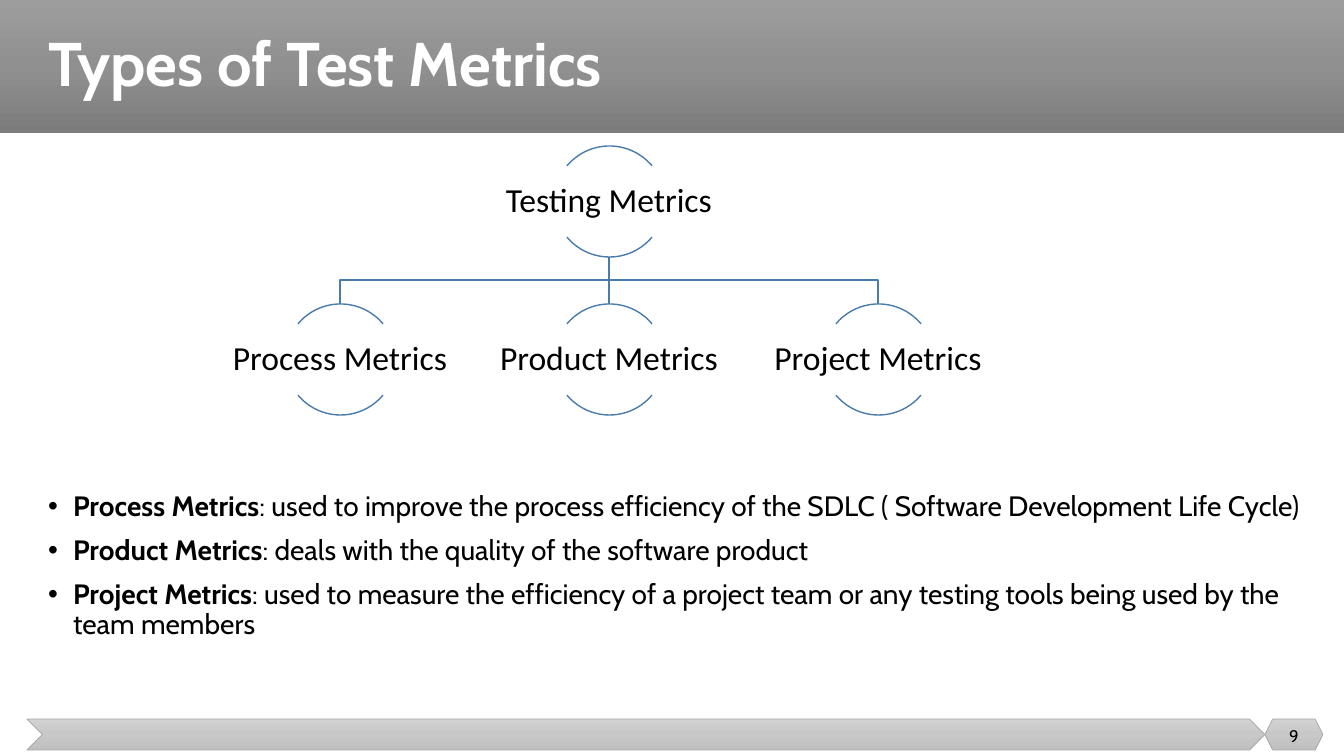
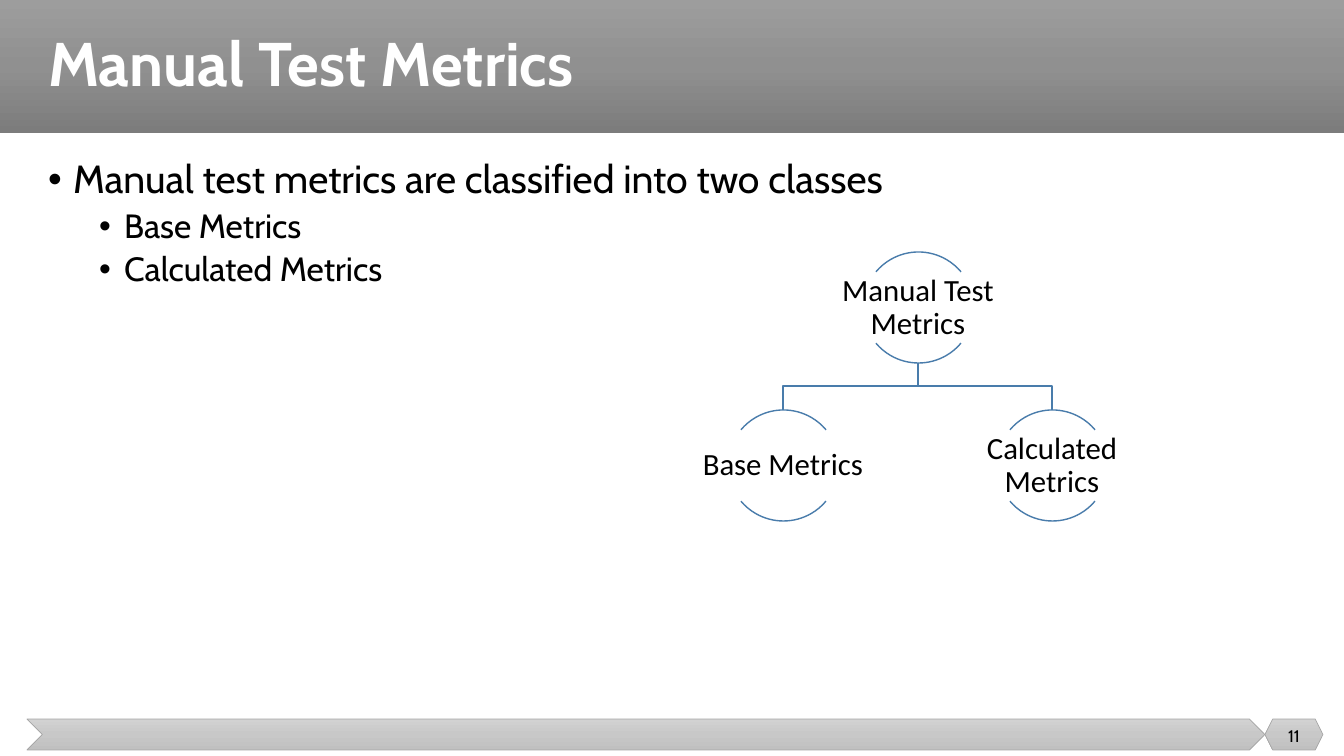
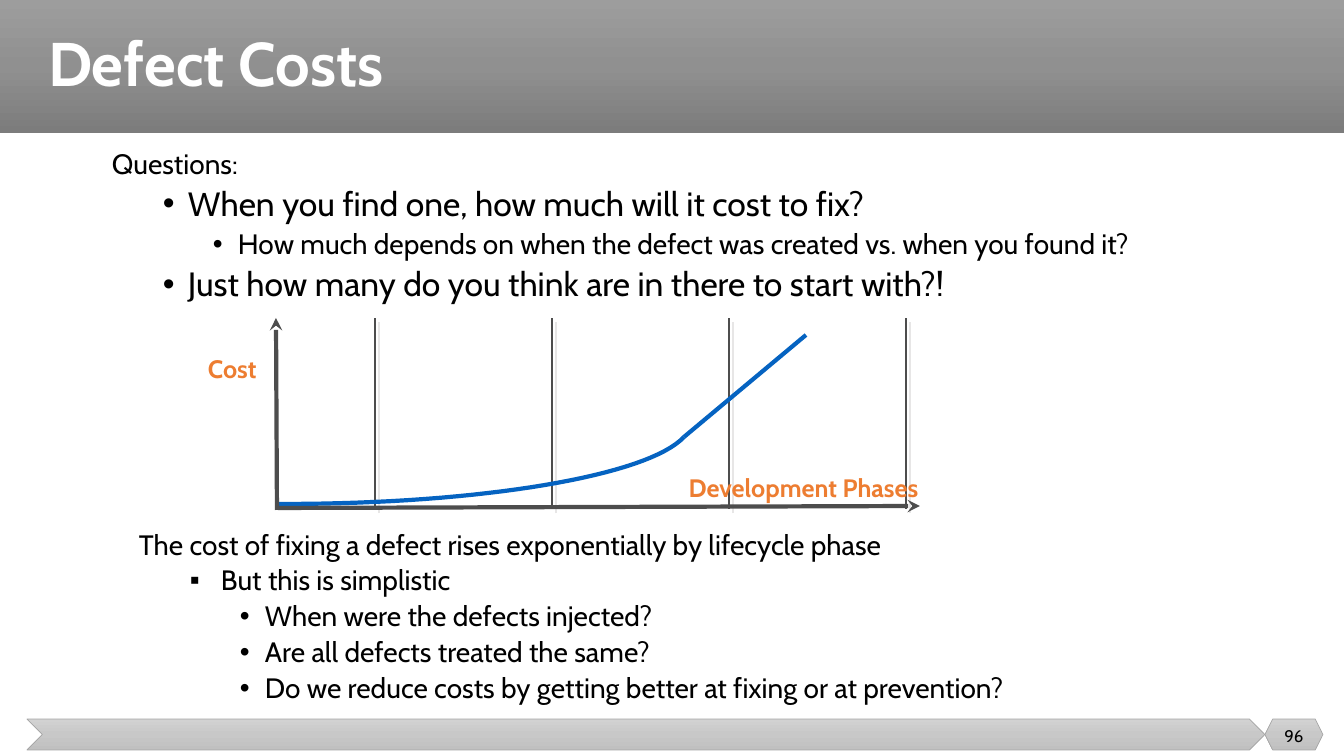
from lxml import etree
from pptx import Presentation
from pptx.dml.color import RGBColor
from pptx.enum.shapes import MSO_CONNECTOR as CONNECTOR, MSO_SHAPE as SHAPE
from pptx.enum.text import MSO_ANCHOR as ANCHOR, PP_ALIGN as ALIGN
from pptx.oxml import parse_xml
from pptx.oxml.ns import nsdecls, qn
from pptx.util import Pt

# Shared look
SCALE = 914400 / 100.8
WIDTH, HEIGHT = 1344, 756
HEADING_FONT, DIAGRAM_FONT = "Cabin", "Calibri"
BLACK, WHITE, ORANGE = "000000", "FFFFFF", "ED7D31"
TREE_BLUE, CURVE_BLUE, AXIS_GREY = "497CAB", "0563C1", "4D4D4D"
FOOTER_EDGE, SHADOW = "A5A5A5", "E7E6E6"
BAND_STOPS = ("9D9D9D", "909090", "7C7C7C")
FOOTER_STOPS = ("D2D2D2", "C8C8C8", "C0C0C0")

# Tree measures
NODE, LABEL_W, LABEL_H, SIBLING_STEP, LEVEL_STEP = 111, 222, 72, 269, 158


def px(length):
    return round(length * SCALE)


def rgb(color):
    return RGBColor.from_string(color)


def style_line(shape, color, points):
    shape.line.color.rgb = rgb(color)
    shape.line.width = Pt(points)


# Shapes and lines
def add_preset(slide, kind, left, top, width, height):
    shape = slide.shapes.add_shape(kind, px(left), px(top), px(width), px(height))
    shape.shadow.inherit = False
    shape.fill.background()
    return shape


def add_gradient_bar(slide, kind, box, stops, edge=None):
    bar = add_preset(slide, kind, *box)
    marks = "".join(
        f'<a:gs pos="{i * 50000}"><a:srgbClr val="{color}"/></a:gs>'
        for i, color in enumerate(stops))
    gradient = parse_xml(
        f'<a:gradFill {nsdecls("a")} rotWithShape="1"><a:gsLst>{marks}</a:gsLst>'
        '<a:lin ang="5400000" scaled="0"/></a:gradFill>')
    properties = bar._element.spPr
    properties.replace(properties.find(qn("a:noFill")), gradient)
    if edge:
        style_line(bar, edge, 0.5)
    else:
        bar.line.fill.background()


def add_line(slide, start, end, color, points, arrow=False, shadow=None):
    line = slide.shapes.add_connector(
        CONNECTOR.STRAIGHT, *(px(n) for n in (*start, *end)))
    style_line(line, color, points)
    if arrow:
        etree.SubElement(line.line._get_or_add_ln(), qn("a:tailEnd"), type="stealth")
    effects = etree.SubElement(line._element.spPr, qn("a:effectLst"))
    if shadow:
        cast = etree.SubElement(effects, qn("a:outerShdw"), blurRad="0",
                                dist=str(Pt(4.2)), dir="2700000", algn="ctr")
        etree.SubElement(cast, qn("a:srgbClr"), val=shadow)


def add_path(slide, points, color, weight):
    corners = [(px(x), px(y)) for x, y in points]
    builder = slide.shapes.build_freeform(*corners[0])
    builder.add_line_segments(corners[1:], close=False)
    outline = builder.convert_to_shape()
    outline.shadow.inherit = False
    outline.fill.background()
    style_line(outline, color, weight)


def bezier(start, pull_a, pull_b, end, steps=32):
    for i in range(steps + 1):
        t = i / steps
        u = 1 - t
        yield tuple(u**3 * a + 3 * u * u * t * b + 3 * u * t * t * c + t**3 * d
                    for a, b, c, d in zip(start, pull_a, pull_b, end))


# Text
def add_frame(slide, box, anchor=ANCHOR.TOP, insets=(10, 5)):
    frame = slide.shapes.add_textbox(*(px(n) for n in box)).text_frame
    frame.word_wrap = True
    frame.vertical_anchor = anchor
    frame.margin_left = frame.margin_right = px(insets[0])
    frame.margin_top = frame.margin_bottom = px(insets[1])
    return frame


def style_paragraph(paragraph, size, color=BLACK, font=HEADING_FONT, bold=False,
                    spacing=0.9):
    paragraph.line_spacing = spacing
    paragraph.font.size = Pt(size)
    paragraph.font.name = font
    paragraph.font.bold = bold
    paragraph.font.color.rgb = rgb(color)


def add_label(slide, box, text, size, align=ALIGN.CENTER, anchor=ANCHOR.MIDDLE,
              insets=(10, 5), **look):
    paragraph = add_frame(slide, box, anchor, insets).paragraphs[0]
    paragraph.text = text
    paragraph.alignment = align
    style_paragraph(paragraph, size, **look)


def add_outline(slide, box, items):
    """Each item: lead in bold, text, size, left edge, hang, bullet, space before."""
    frame = add_frame(slide, box)
    for i, (lead, text, size, left, hang, bullet, before) in enumerate(items):
        paragraph = frame.add_paragraph() if i else frame.paragraphs[0]
        if lead:
            paragraph.add_run().text = lead
            paragraph.runs[0].font.bold = True
        paragraph.add_run().text = text
        properties = paragraph._p.get_or_add_pPr()
        properties.set("marL", str(px(left)))
        properties.set("indent", str(px(-hang)))
        if bullet:
            etree.SubElement(properties, qn("a:buFont"), typeface="Arial")
            etree.SubElement(properties, qn("a:buChar"), char=bullet)
        style_paragraph(paragraph, size)
        if i:
            paragraph.space_before = Pt(before)


# Tree diagram
def add_node(slide, center, top, text, size):
    for start, end in ((132, 192), (24, 84)):
        arc = add_preset(slide, SHAPE.ARC, center - NODE // 2, top, NODE, NODE)
        arc.adjustments[0], arc.adjustments[1] = start, end
        style_line(arc, TREE_BLUE, 1)
    add_label(slide, (center - LABEL_W // 2, top + 20, LABEL_W, LABEL_H), text, size,
              insets=(2, 2), font=DIAGRAM_FONT)


def add_tree(slide, center, top, root, children, size):
    bottom, child_top = top + NODE, top + LEVEL_STEP
    middle = (bottom + child_top) // 2
    add_node(slide, center, top, root, size)
    for i, child in enumerate(children):
        x = center + (2 * i - len(children) + 1) * SIBLING_STEP // 2
        if x == center:
            add_line(slide, (x, bottom), (x, child_top), TREE_BLUE, 1)
        else:
            add_path(slide, [(center, bottom), (center, middle), (x, middle),
                             (x, child_top)], TREE_BLUE, 1)
        add_node(slide, x, child_top, child, size)


# Title band, footer and page number
def new_slide(deck, title, number):
    slide = deck.slides.add_slide(deck.slide_layouts[6])
    add_gradient_bar(slide, SHAPE.RECTANGLE, (0, 0, WIDTH, 133), BAND_STOPS)
    add_gradient_bar(slide, SHAPE.CHEVRON, (27, 719, 1238, 31), FOOTER_STOPS, FOOTER_EDGE)
    add_gradient_bar(slide, SHAPE.HEXAGON, (1265, 719, 58, 31), FOOTER_STOPS, FOOTER_EDGE)
    add_label(slide, (38, 0, 1284, 133), title, 44, align=ALIGN.LEFT, color=WHITE,
              bold=True)
    add_label(slide, (1265, 716, 58, 40), str(number), 12, spacing=1.0)
    return slide


def add_types_slide(deck):
    slide = new_slide(deck, "Types of Test Metrics", 9)
    add_tree(slide, 609, 146, "Testing Metrics",
             ("Process Metrics", "Product Metrics", "Project Metrics"), 24)
    definitions = (
        ("Process Metrics", ": used to improve the process efficiency of the SDLC "
                            "( Software Development Life Cycle)"),
        ("Product Metrics", ": deals with the quality of the software product"),
        ("Project Metrics", ": used to measure the efficiency of a project team or any "
                            "testing tools being used by the team members"),
    )
    add_outline(slide, (38, 487, 1284, 212),
                [(term, meaning, 20, 25, 25, "•", 10) for term, meaning in definitions])


def add_manual_slide(deck):
    slide = new_slide(deck, "Manual Test Metrics", 11)
    classes = ("Base Metrics", "Calculated Metrics")
    add_outline(slide, (38, 155, 1284, 523), [
        ("", "Manual test metrics are classified into two classes", 28, 25, 25, "•", 0),
        *(("", name, 24, 76, 25, "•", 5) for name in classes)])
    add_tree(slide, 918, 252, "Manual Test Metrics", classes, 22)


def add_cost_chart(slide):
    for x in range(375, 907, 177):
        add_line(slide, (x, 509), (x, 318), AXIS_GREY, 1, shadow=SHADOW)
    # Cost curve: slow rise, then a straight climb
    bend = (684, 437)
    rise = bezier((285, 504), (481, 504), (648, 476), bend)
    add_line(slide, bend, (806, 335), CURVE_BLUE, 3)
    add_path(slide, [(277, 504), *rise], CURVE_BLUE, 3)
    # Axes
    add_line(slide, (277, 510), (276, 318), AXIS_GREY, 3, arrow=True)
    add_line(slide, (278, 508), (920, 506), AXIS_GREY, 3, arrow=True)
    for box, name, align in (((199, 353, 81, 35), "Cost", ALIGN.LEFT),
                             ((637, 472, 333, 35), "Development Phases", ALIGN.CENTER)):
        add_label(slide, box, name, 18, align=align, anchor=ANCHOR.TOP, insets=(9, 4),
                  color=ORANGE, bold=True)


def add_costs_slide(deck):
    slide = new_slide(deck, "Defect Costs", 96)
    add_outline(slide, (102, 145, 1063, 183), [
        ("", "Questions:", 20, 25, 25, None, 0),
        ("", "When you find one, how much will it cost to fix?", 24, 76, 25, "•", 5),
        ("", "How much depends on when the defect was created vs. when you found it?",
         20, 126, 25, "•", 5),
        ("", "Just how many do you think are in there to start with?!", 24, 76, 25, "•", 5)])
    add_cost_chart(slide)
    questions = ("When were the defects injected?", "Are all defects treated the same?",
                 "Do we reduce costs by getting better at fixing or at prevention?")
    add_outline(slide, (129, 526, 966, 210), [
        ("", "The cost of fixing a defect rises exponentially by lifecycle phase",
         20, 38, 38, None, 0),
        ("", "But this is simplistic", 20, 82, 31, "▪", 4),
        *(("", question, 20, 126, 25, "•", 4) for question in questions)])


def main():
    deck = Presentation()
    deck.slide_width, deck.slide_height = px(WIDTH), px(HEIGHT)
    add_types_slide(deck)
    add_manual_slide(deck)
    add_costs_slide(deck)
    deck.save("out.pptx")


if __name__ == "__main__":
    main()
